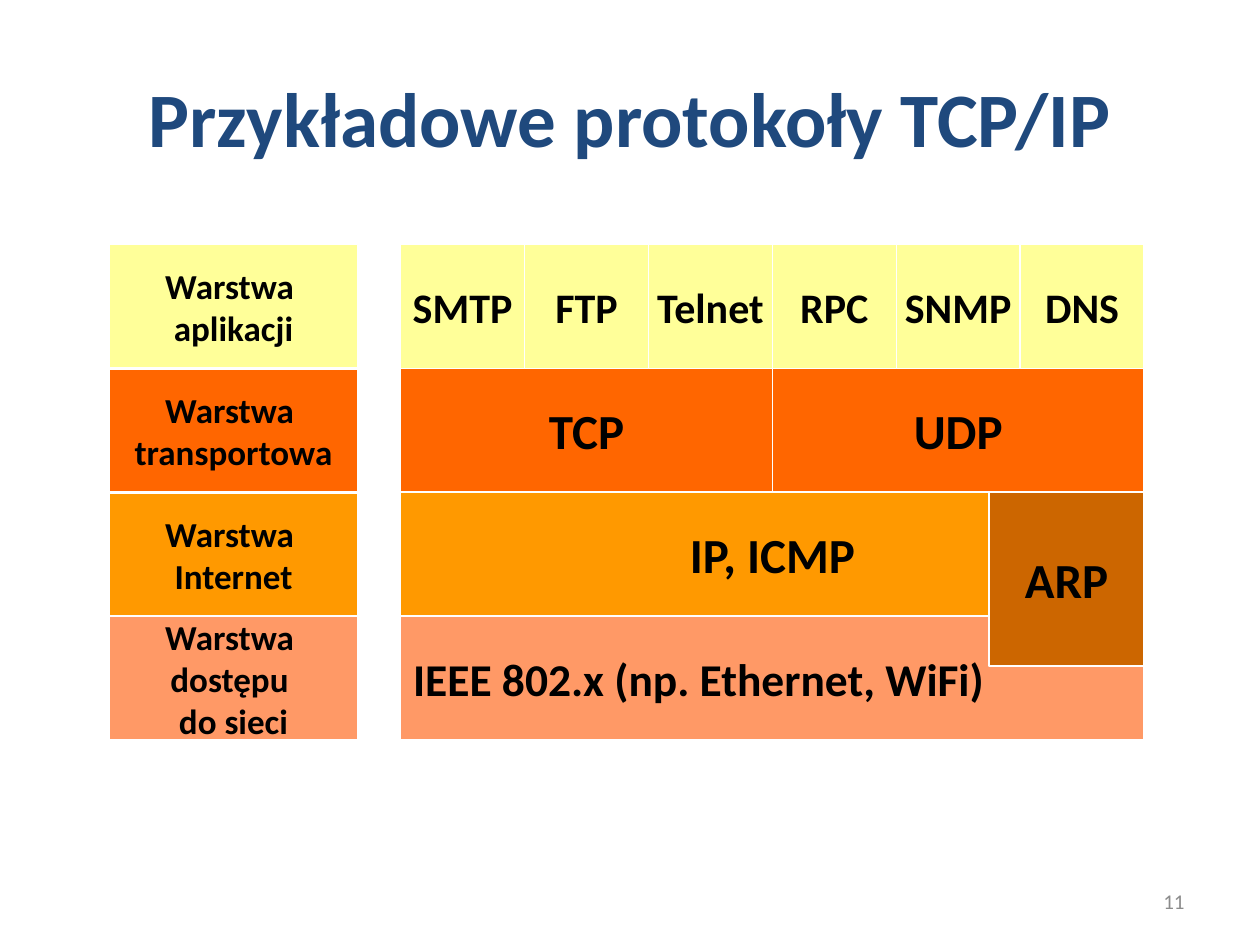
from pptx import Presentation
from pptx import util as u
from pptx.dml.color import RGBColor
from pptx.enum import shapes, text
from lxml import etree

BLACK, WHITE = "000000", "FFFFFF"
YELLOW, ORANGE, AMBER, SALMON, BROWN = "FFFF99", "FF6600", "FF9900", "FF9966", "CC6600"
A_NS = "http://schemas.openxmlformats.org/drawingml/2006/main"


def write(frame, words, size, color, bold=True, align=text.PP_ALIGN.CENTER):
    frame.text = words
    frame.vertical_anchor = text.MSO_ANCHOR.MIDDLE
    frame.paragraphs[0].alignment = align
    for run in frame.paragraphs[0].runs:
        run.font.name = "Calibri"
        run.font.size = u.Pt(size)
        run.font.bold = bold
        run.font.color.rgb = RGBColor.from_string(color)


def add_block(left, top, width, height, fill, words, size, align=text.PP_ALIGN.CENTER):
    block = slide.shapes.add_shape(
        shapes.MSO_SHAPE.RECTANGLE,
        u.Inches(left), u.Inches(top), u.Inches(width), u.Inches(height))
    block.shadow.inherit = False
    block.fill.solid()
    block.fill.fore_color.rgb = RGBColor.from_string(fill)
    block.line.color.rgb = RGBColor.from_string(WHITE)
    block.line.width = u.Pt(0.75)
    block.text_frame.word_wrap = False
    write(block.text_frame, words, size, BLACK, align=align)


prs = Presentation()
prs.slide_width, prs.slide_height = u.Inches(10), u.Inches(7.5)
slide = prs.slides.add_slide(prs.slide_layouts[5])

title = slide.shapes.title
title.left, title.top = u.Inches(0.5), u.Inches(0.3)
title.width, title.height = u.Inches(9), u.Inches(1.25)
write(title.text_frame, "Przykładowe protokoły TCP/IP", 44, "1F497D")

layers_left, stack_left, stack_width = 0.87, 3.18, 5.9
unit = stack_width / 6
row_tops = [1.94 + row * unit for row in range(4)]
application_top, transport_top, internet_top, access_top = row_tops

layers = [
    ("Warstwa \vaplikacji", YELLOW),
    ("Warstwa \vtransportowa", ORANGE),
    ("Warstwa \vInternet", AMBER),
    ("Warstwa \vdostępu \vdo sieci", SALMON),
]
for top, (layer, fill) in zip(row_tops, layers):
    add_block(layers_left, top, 2 * unit, unit, fill, layer, 20)

for top in row_tops[1:]:
    divider = slide.shapes.add_connector(
        shapes.MSO_CONNECTOR.STRAIGHT,
        u.Inches(0.52), u.Inches(top), u.Inches(9.13), u.Inches(top))
    divider.line.color.rgb = RGBColor.from_string(WHITE)
    divider.line.width = u.Pt(1.5)
    etree.SubElement(divider.element.spPr, f"{{{A_NS}}}effectLst")

add_block(stack_left, access_top, stack_width, unit, SALMON,
          "IEEE 802.x (np. Ethernet, WiFi)", 26, text.PP_ALIGN.LEFT)
add_block(stack_left, internet_top, stack_width, unit, AMBER, "IP, ICMP", 28)
add_block(7.85, internet_top, 1.23, 1.38, BROWN, "ARP", 28)

for column, protocol in enumerate(["TCP", "UDP"]):
    add_block(stack_left + column * 3 * unit, transport_top, 3 * unit, unit, ORANGE, protocol, 28)

for column, protocol in enumerate(["SMTP", "FTP", "Telnet", "RPC", "SNMP", "DNS"]):
    add_block(stack_left + column * unit, application_top, unit, unit, YELLOW, protocol, 24)

page_number = slide.shapes.add_textbox(
    u.Inches(7.17), u.Inches(6.95), u.Inches(2.33), u.Inches(0.4))
page_number.text_frame.word_wrap = True
write(page_number.text_frame, "11", 12, "8C8C8C", bold=False, align=text.PP_ALIGN.RIGHT)

prs.save("out.pptx")
